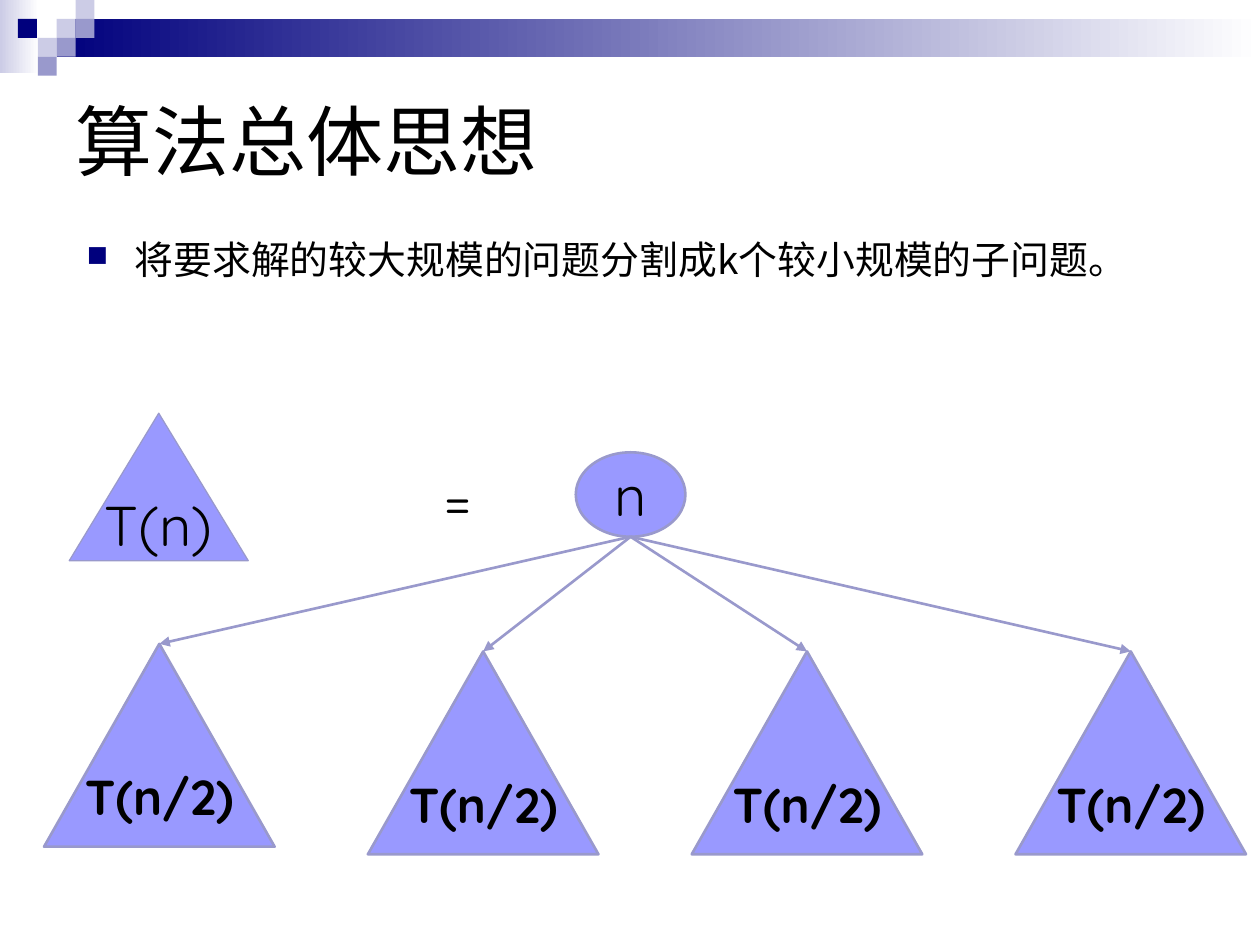
import pptx
import pptx.util
import pptx.dml.color
import pptx.enum.shapes
import pptx.enum.text
import pptx.oxml
from pptx.oxml.ns import qn

Inches, Pt = pptx.util.Inches, pptx.util.Pt
RGBColor = pptx.dml.color.RGBColor
SHAPE = pptx.enum.shapes.MSO_SHAPE
ALIGN = pptx.enum.text.PP_ALIGN
ANCHOR = pptx.enum.text.MSO_ANCHOR

NAVY = RGBColor(0x00, 0x00, 0x7D)
PALE = RGBColor(0xCC, 0xCC, 0xE6)
MUTED = RGBColor(0x99, 0x99, 0xCC)
VIOLET = RGBColor(0x99, 0x99, 0xFF)
WHITE = RGBColor(0xFF, 0xFF, 0xFF)
BLACK = RGBColor(0, 0, 0)
CJK, LATIN, ROUND = "Noto Sans CJK SC", "Arial", "Quicksand"

# Content
TITLE = "算法总体思想"
BULLET = "将要求解的较大规模的问题分割成k个较小规模的子问题。"
WHOLE, EQUALS, ROOT = "T(n)", "=", "n"
PARTS = ["T(n/2)"] * 4

# Header decoration: left, top, width, height, start colour of the fade
FADES = [(0, 0, 0.31, 0.58, PALE), (0.45, 0.15, 9.55, 0.3, NAVY)]
CELL = 0.15
# Column, row, colour
MOSAIC = [(3, 1, PALE), (4, 0, PALE), (4, 1, MUTED), (2, 2, PALE),
          (0.95, 1, NAVY), (3, 2, MUTED), (2, 3, MUTED)]

# Subproblem row
PART_LEFT, PART_STEP, PART_WIDTH, PART_HEIGHT = 0.35, 2.57, 1.83, 1.61
PART_TOPS = [5.11, 5.17, 5.17, 5.17]

deck = pptx.Presentation()
deck.slide_width, deck.slide_height = Inches(10), Inches(7.5)
page = deck.slides.add_slide(deck.slide_layouts[6])


def add_block(kind, left, top, width, height, color=None):
    block = page.shapes.add_shape(kind, Inches(left), Inches(top), Inches(width), Inches(height))
    block.shadow.inherit = False
    block.line.fill.background()
    if color is not None:
        block.fill.solid()
        block.fill.fore_color.rgb = color
    return block


def add_text(box, text, size, face, bold=False, align=ALIGN.CENTER):
    para = box.text_frame.paragraphs[0]
    para.text = text
    para.alignment = align
    font = para.font
    font.size, font.name, font.bold = Pt(size), face, bold
    font.color.rgb = BLACK
    return para


def add_box(left, top, width, height):
    box = page.shapes.add_textbox(Inches(left), Inches(top), Inches(width), Inches(height))
    box.text_frame.word_wrap = True
    return box


def add_node(kind, left, top, width, height, text, size, bold=False, weight=1.5):
    node = add_block(kind, left, top, width, height, VIOLET)
    node.line.color.rgb = MUTED
    node.line.width = Pt(weight)
    node.text_frame.word_wrap = False
    node.text_frame.vertical_anchor = ANCHOR.MIDDLE
    add_text(node, text, size, ROUND, bold)
    return node


def add_arrow(start_x, start_y, target):
    arrow = page.shapes.add_connector(pptx.enum.shapes.MSO_CONNECTOR.STRAIGHT,
                                      start_x, start_y, start_x, start_y)
    arrow.end_connect(target, 0)
    arrow.line.color.rgb = MUTED
    arrow.line.width = Pt(1.5)
    head = pptx.oxml.parse_xml(
        '<a:tailEnd xmlns:a="http://schemas.openxmlformats.org/drawingml/2006/main" type="triangle"/>')
    arrow.line._get_or_add_ln().append(head)
    properties = arrow._element.spPr
    properties.append(properties.makeelement(qn("a:effectLst"), {}))


# Header
for left, top, width, height, color in FADES:
    fade = add_block(SHAPE.RECTANGLE, left, top, width, height)
    fade.fill.gradient()
    fade.fill.gradient_angle = 0
    for stop, shade, position in zip(fade.fill.gradient_stops, (color, WHITE), (0, 1)):
        stop.color.rgb = shade
        stop.position = position
for column, row, color in MOSAIC:
    add_block(SHAPE.RECTANGLE, column * CELL, row * CELL, CELL, CELL, color)

# Title
title = add_box(0.5, 0.5, 9, 1.21)
title.text_frame.vertical_anchor = ANCHOR.MIDDLE
add_text(title, TITLE, 44, LATIN, align=ALIGN.LEFT)

# Bullet line
body = add_box(0.59, 1.86, 8.83, 0.73)
body_para = body.text_frame.paragraphs[0]
body_para.line_spacing = 0.9
layout = body_para._p.get_or_add_pPr()
layout.set("marL", str(Inches(0.38)))
layout.set("indent", str(-Inches(0.38)))
bullet_color = layout.makeelement(qn("a:buClr"), {})
bullet_color.append(layout.makeelement(qn("a:srgbClr"), {"val": str(NAVY)}))
layout.append(bullet_color)
layout.append(layout.makeelement(qn("a:buSzPct"), {"val": "75000"}))
layout.append(layout.makeelement(qn("a:buChar"), {"char": "■"}))
add_text(body, BULLET, 22.2, CJK, align=ALIGN.LEFT)

# Recursion tree
root = add_node(SHAPE.OVAL, 4.57, 3.59, 0.87, 0.67, ROOT, 32)
for index, (label, top) in enumerate(zip(PARTS, PART_TOPS)):
    part = add_node(SHAPE.ISOSCELES_TRIANGLE, PART_LEFT + index * PART_STEP, top,
                    PART_WIDTH, PART_HEIGHT, label, 28, bold=True)
    add_arrow(root.left + root.width // 2, root.top + root.height, part)

# Whole problem and equals sign
add_node(SHAPE.ISOSCELES_TRIANGLE, 0.55, 3.28, 1.42, 1.17, WHOLE, 32, weight=0.75)
add_text(add_box(3.05, 3.64, 1.17, 0.64), EQUALS, 32, ROUND)

deck.save("out.pptx")
